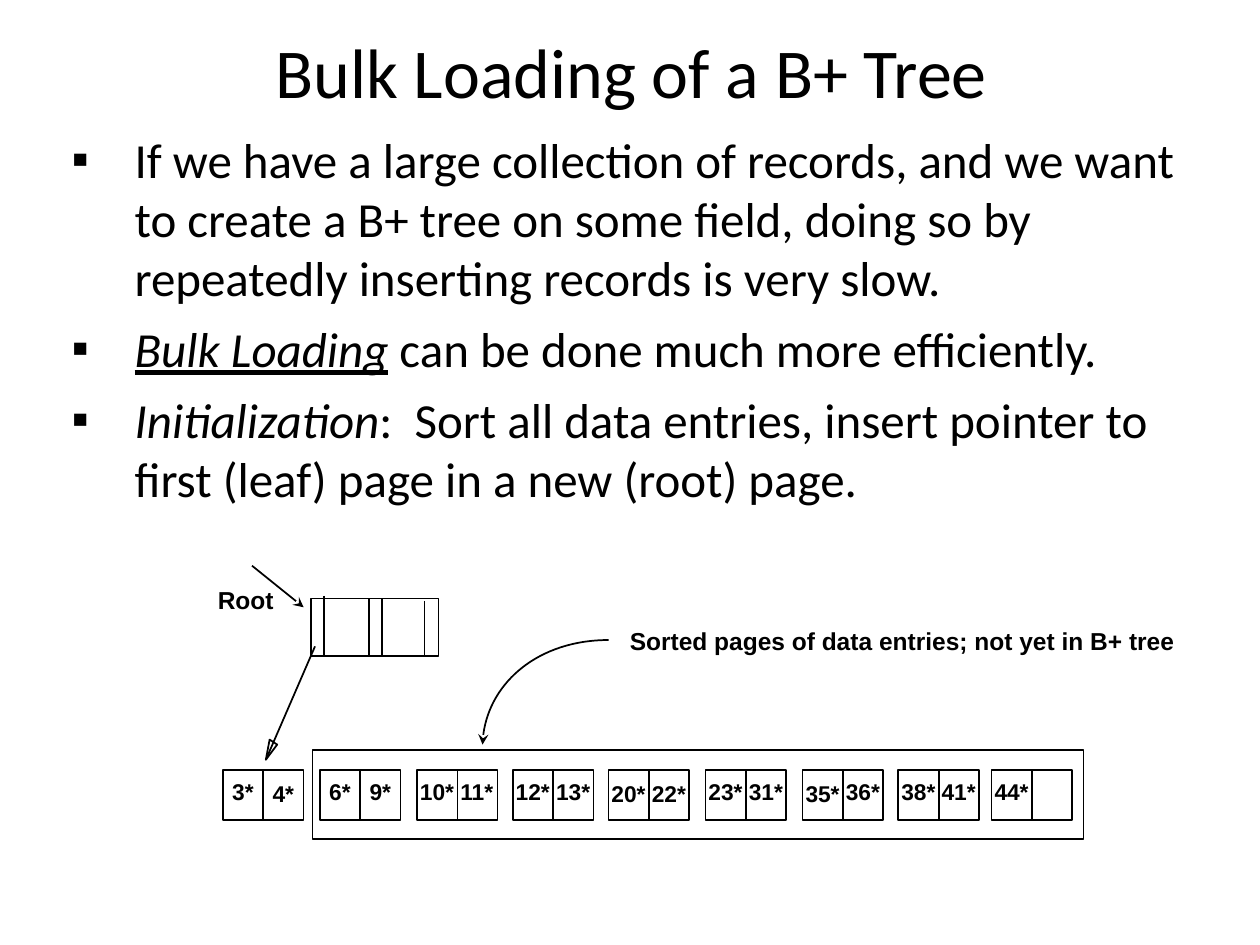
from dataclasses import dataclass

from lxml.etree import SubElement
from pptx import Presentation
from pptx.dml.color import RGBColor
from pptx.enum.shapes import MSO_CONNECTOR, MSO_SHAPE
from pptx.enum.text import MSO_ANCHOR, MSO_AUTO_SIZE, PP_ALIGN
from pptx.oxml.ns import qn
from pptx.util import Inches, Pt


@dataclass(frozen=True)
class Theme:
    ink: RGBColor = RGBColor(0, 0, 0)
    sans: str = "Calibri"
    mono: str = "Arial"
    title: int = 40
    body: int = 28
    note: int = 14
    key: int = 13
    line: int = 1


THEME = Theme()

# Each body item is a list of (text, italic, underline) runs
ITEMS = [
    [("If we have a large collection of records, and we want to create a "
      "B+ tree on some field, doing so by repeatedly inserting records is "
      "very slow.", False, False)],
    [("Bulk Loading", True, True),
     (" can be done much more efficiently.", False, False)],
    [("Initialization", True, False),
     (":  Sort all data entries, insert pointer to first (leaf) page in a "
      "new (root) page.", False, False)],
]

# Leaf pages: left edge and keys
PAGES = [
    (1.77, ("3*", "4*")), (2.54, ("6*", "9*")), (3.31, ("10*", "11*")),
    (4.07, ("12*", "13*")), (4.83, ("20*", "22*")), (5.6, ("23*", "31*")),
    (6.37, ("35*", "36*")), (7.13, ("38*", "41*")), (7.87, ("44*",)),
]
LOW = {"4*", "20*", "22*", "35*"}  # keys that sit slightly lower
PAGE_TOP, PAGE_W, PAGE_H = 6.11, 0.64, 0.4

# Root dividers: x, top, bottom
SPLITS = [(2.57, 4.73, 5.2), (2.93, 4.75, 5.2),
          (3.03, 4.75, 5.2), (3.37, 4.77, 5.21)]


def write(para, runs, size, font=THEME.sans, bold=False, align=PP_ALIGN.LEFT):
    """Fill a paragraph with one string or with styled runs."""
    para.alignment = align
    if isinstance(runs, str):
        runs = [(runs, False, False)]
    for text, slant, under in runs:
        run = para.add_run()
        run.text = text
        face = run.font
        face.name, face.size, face.bold = font, Pt(size), bold
        face.italic, face.underline = slant, under
        face.color.rgb = THEME.ink


def bullet(para):
    props = para._p.get_or_add_pPr()
    props.set("marL", str(Inches(0.5)))
    props.set("indent", str(Inches(-0.5)))
    tint = SubElement(props, qn("a:buClr"))
    SubElement(tint, qn("a:srgbClr"), val=str(THEME.ink))
    SubElement(props, qn("a:buFont"), typeface=THEME.mono)
    SubElement(props, qn("a:buChar"), char="▪")


def label(slide, text, x, y, w, h, size):
    box = slide.shapes.add_textbox(Inches(x), Inches(y), Inches(w), Inches(h))
    frame = box.text_frame
    frame.word_wrap = False
    frame.auto_size = MSO_AUTO_SIZE.SHAPE_TO_FIT_TEXT
    write(frame.paragraphs[0], text, size, font=THEME.mono, bold=True)


def stroke(shape):
    shape.line.color.rgb = THEME.ink
    shape.line.width = Pt(THEME.line)


def hollow(shape):
    shape.shadow.inherit = False
    shape.fill.background()
    stroke(shape)
    return shape


def frame_box(slide, x, y, w, h):
    return hollow(slide.shapes.add_shape(
        MSO_SHAPE.RECTANGLE, Inches(x), Inches(y), Inches(w), Inches(h)))


def arrow(shape, end):
    ln = shape.element.spPr.find(qn("a:ln"))
    SubElement(ln, qn(f"a:{end}"), type="stealth")


def link(slide, x1, y1, x2, y2):
    line = slide.shapes.add_connector(
        MSO_CONNECTOR.STRAIGHT, Inches(x1), Inches(y1), Inches(x2), Inches(y2))
    stroke(line)
    SubElement(line.element.spPr, qn("a:effectLst"))
    return line


def outline(slide, points, close=False):
    start, *rest = [(Inches(x), Inches(y)) for x, y in points]
    pen = slide.shapes.build_freeform(*start, scale=1.0)
    pen.add_line_segments(rest, close=close)
    return hollow(pen.convert_to_shape())


def curve(slide, start, end, pulls):
    """Draw one Bezier curve; pulls are measured from the box corner."""
    shape = outline(slide, [start, end])
    step = next(shape.element.iter(qn("a:lnTo")))
    step.tag = qn("a:cubicBezTo")
    for spot, (x, y) in enumerate(pulls):
        pull = step.makeelement(
            qn("a:pt"), {"x": str(Inches(x)), "y": str(Inches(y))})
        step.insert(spot, pull)
    return shape


def leaf(slide, left, keys):
    page = frame_box(slide, left, PAGE_TOP, PAGE_W, PAGE_H)
    mid = left + PAGE_W / 2
    split = link(slide, mid, PAGE_TOP, mid, PAGE_TOP + PAGE_H)
    split.begin_connect(page, 0)
    split.end_connect(page, 2)
    for spot, key in enumerate(keys):
        wide = 0.37 if len(key) == 2 else 0.47
        x = left + PAGE_W * (2 * spot + 1) / 4 - wide / 2
        label(slide, key, x, 6.14 if key in LOW else 6.12, wide, 0.31,
              THEME.key)


def heading(slide, text):
    title = slide.shapes.title
    title.left, title.top = Inches(0.51), Inches(0.17)
    title.width, title.height = Inches(9), Inches(0.78)
    frame = title.text_frame
    frame.auto_size = MSO_AUTO_SIZE.NONE
    frame.vertical_anchor = MSO_ANCHOR.MIDDLE
    write(frame.paragraphs[0], text, THEME.title, align=PP_ALIGN.CENTER)


def body(slide):
    box = slide.shapes.add_textbox(
        Inches(0.47), Inches(0.98), Inches(9.08), Inches(3.53))
    frame = box.text_frame
    frame.word_wrap = True
    for spot, runs in enumerate(ITEMS):
        para = frame.add_paragraph() if spot else frame.paragraphs[0]
        bullet(para)
        para.space_before = Pt(7 if spot else 0)
        write(para, runs, THEME.body)


def main():
    deck = Presentation()
    deck.slide_width, deck.slide_height = Inches(10), Inches(7.5)
    slide = deck.slides.add_slide(deck.slide_layouts[5])

    # Title and bullets
    heading(slide, "Bulk Loading of a B+ Tree")
    body(slide)

    # Leaf pages and the frame around those not yet loaded
    for left, keys in PAGES:
        leaf(slide, left, keys)
    frame_box(slide, 2.48, 5.95, 6.12, 0.71)

    # Root page with its pointer to the first leaf
    frame_box(slide, 2.47, 4.75, 1.01, 0.46)
    for x, top, low in SPLITS:
        link(slide, x, top, x, low)
    link(slide, 2.5, 5.13, 2.11, 6.03)
    outline(slide, [(2.2, 5.91), (2.11, 6.03), (2.14, 5.87)], close=True)

    # Notes and their arrows
    label(slide, "Sorted pages of data entries; not yet in B+ tree",
          4.9, 4.92, 4.53, 0.33, THEME.note)
    label(slide, "Root", 1.63, 4.59, 0.68, 0.33, THEME.note)
    arrow(link(slide, 2, 4.49, 2.41, 4.82), "tailEnd")
    bend = curve(slide, (3.83, 5.91), (4.83, 5.08), [(0.01, 0.37), (0.45, 0)])
    arrow(bend, "headEnd")

    deck.save("out.pptx")


if __name__ == "__main__":
    main()
